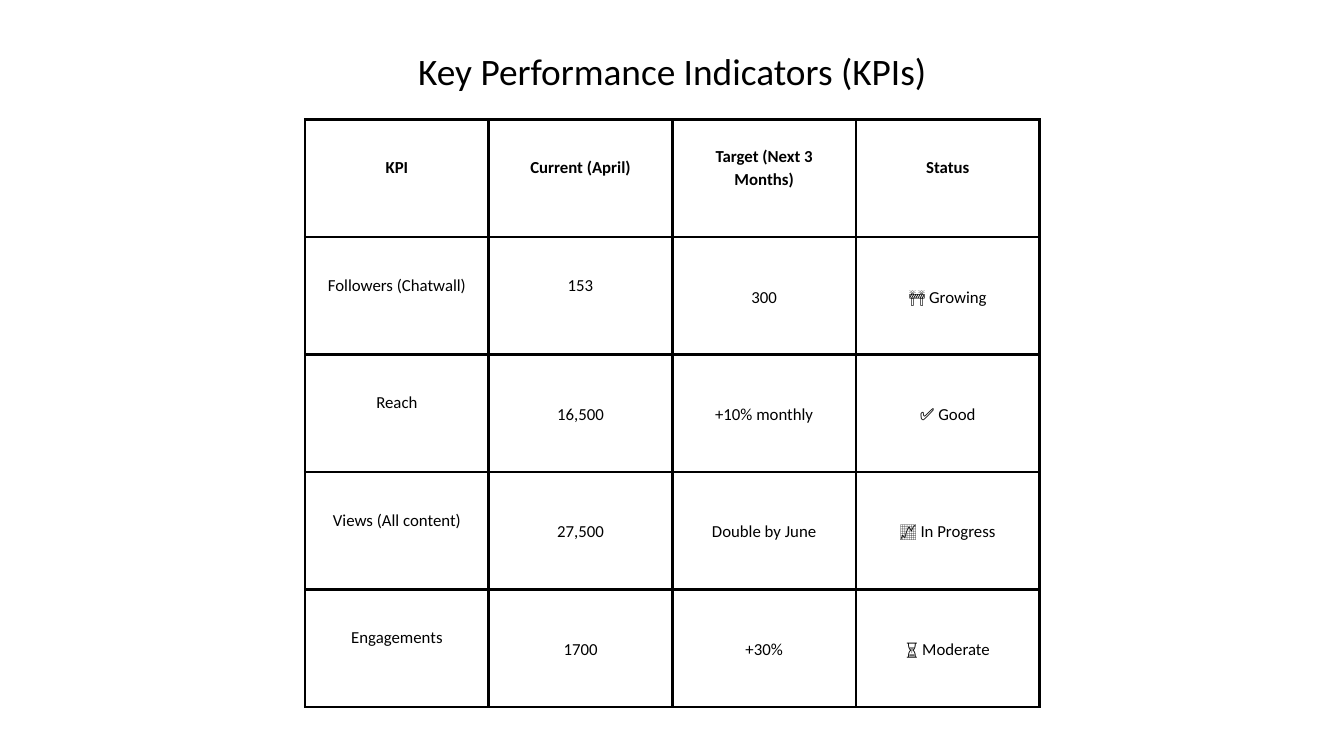
from dataclasses import dataclass

from lxml import etree
from pptx import Presentation
from pptx.dml.color import RGBColor
from pptx.enum import text
from pptx.oxml import ns
from pptx.util import Inches, Pt


@dataclass(frozen=True)
class Theme:
    """Colours, fonts and sizes of the slide."""
    font: str = "Calibri"
    ink: str = "000000"
    paper: str = "FFFFFF"
    title_size: float = 40
    cell_size: float = 18
    leading: float = 1.4
    border: float = 3
    inset: float = 0.21
    lift: float = 0.35


class SlideBuilder:
    """Holds the style and the current slide."""

    def __init__(self, slide, theme):
        self.slide = slide
        self.theme = theme
        slide.background.fill.solid()
        slide.background.fill.fore_color.rgb = RGBColor.from_string(theme.paper)

    def add_words(self, frame, words, size, bold=False):
        """Add one centred line of text as a run."""
        paragraph = frame.paragraphs[0]
        paragraph.alignment = text.PP_ALIGN.CENTER
        paragraph.line_spacing = Pt(size * self.theme.leading)
        run = paragraph.add_run()
        run.text = words
        run.font.name = self.theme.font
        run.font.size = Pt(size)
        run.font.bold = bold
        run.font.color.rgb = RGBColor.from_string(self.theme.ink)

    def title(self, words, left, top, width, height):
        """Fill and place the title placeholder."""
        heading = self.slide.shapes.title
        heading.left, heading.top = Inches(left), Inches(top)
        heading.width, heading.height = Inches(width), Inches(height)
        frame = heading.text_frame
        frame.margin_left = frame.margin_right = 0
        frame.margin_top = frame.margin_bottom = 0
        frame.vertical_anchor = text.MSO_ANCHOR.TOP
        frame.word_wrap = True
        frame.auto_size = text.MSO_AUTO_SIZE.SHAPE_TO_FIT_TEXT
        self.add_words(frame, words, self.theme.title_size)

    def outline(self, cell):
        """Draw all four borders of a cell."""
        properties = cell._tc.get_or_add_tcPr()
        for position, side in enumerate(("lnL", "lnR", "lnT", "lnB")):
            line = etree.Element(ns.qn(f"a:{side}"), w=str(Pt(self.theme.border)))
            fill = etree.SubElement(line, ns.qn("a:solidFill"))
            etree.SubElement(fill, ns.qn("a:srgbClr"), val=self.theme.ink)
            properties.insert(position, line)

    def table(self, rows, raised, left, top, width, height):
        """Add an even grid whose raised cells sit half a line higher."""
        grid = self.slide.shapes.add_table(
            len(rows), len(rows[0]), Inches(left), Inches(top),
            Inches(width), Inches(height)).table
        grid.horz_banding = False
        for r, row in enumerate(rows):
            for c, words in enumerate(row):
                cell = grid.cell(r, c)
                cell.margin_left = cell.margin_right = Inches(self.theme.inset)
                cell.margin_top = Inches(self.theme.inset)
                lift = self.theme.lift if raised(r, c) else 0
                cell.margin_bottom = Inches(self.theme.inset + lift)
                cell.vertical_anchor = text.MSO_ANCHOR.MIDDLE
                cell.fill.background()
                self.outline(cell)
                self.add_words(cell.text_frame, words, self.theme.cell_size, bold=r == 0)


KPIS = [
    ("KPI", "Current (April)", "Target (Next 3 Months)", "Status"),
    ("Followers (Chatwall)", "153", "300", "🚧 Growing"),
    ("Reach", "16,500", "+10% monthly", "✅ Good"),
    ("Views (All content)", "27,500", "Double by June", "📈 In Progress"),
    ("Engagements", "1700", "+30%", "⏳ Moderate"),
]


def main():
    """Build and save the KPI slide."""
    deck = Presentation()
    deck.slide_width, deck.slide_height = Inches(20), Inches(11.25)
    builder = SlideBuilder(deck.slides.add_slide(deck.slide_layouts[5]), Theme())
    builder.title("Key Performance Indicators (KPIs)", 5.73, 0.6, 8.55, 0.86)
    builder.table(KPIS, lambda r, c: r == 0 or c == 0 or (r, c) == (1, 1),
                  4.54, 1.78, 10.93, 8.74)
    deck.save("out.pptx")


if __name__ == "__main__":
    main()
